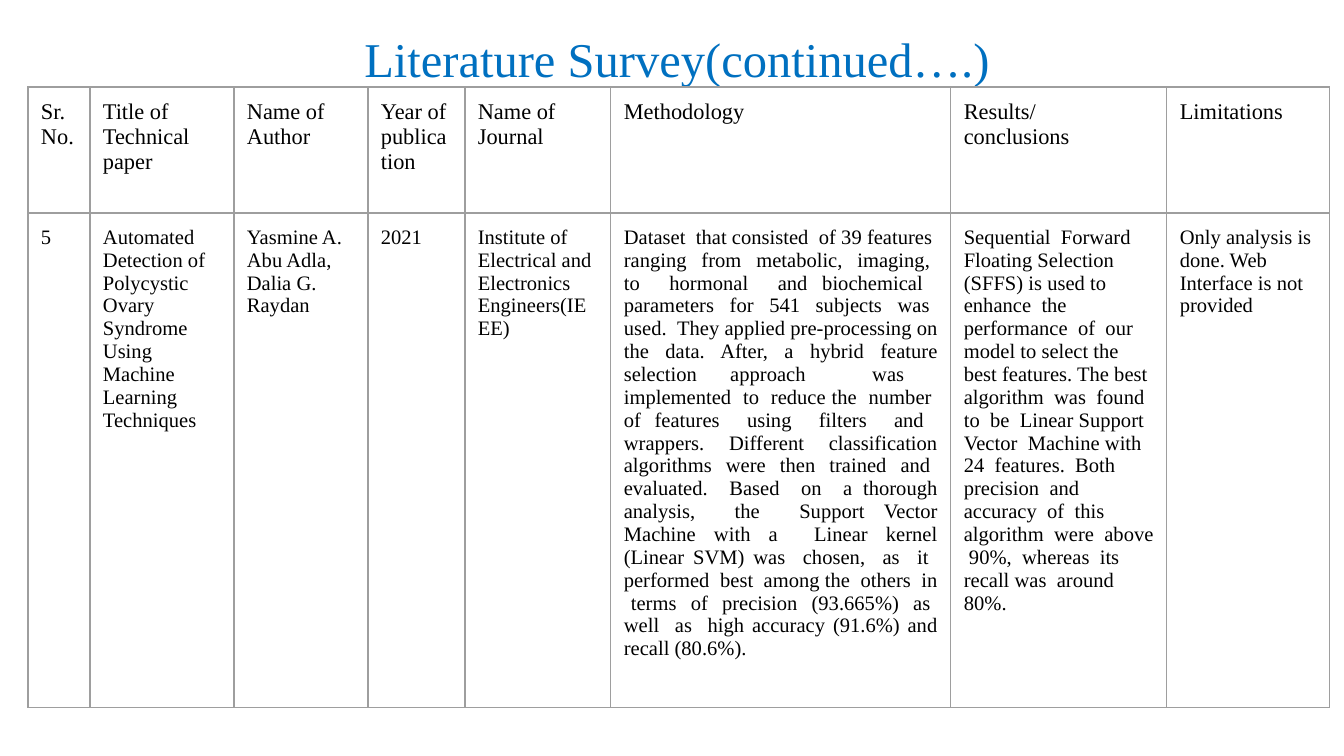
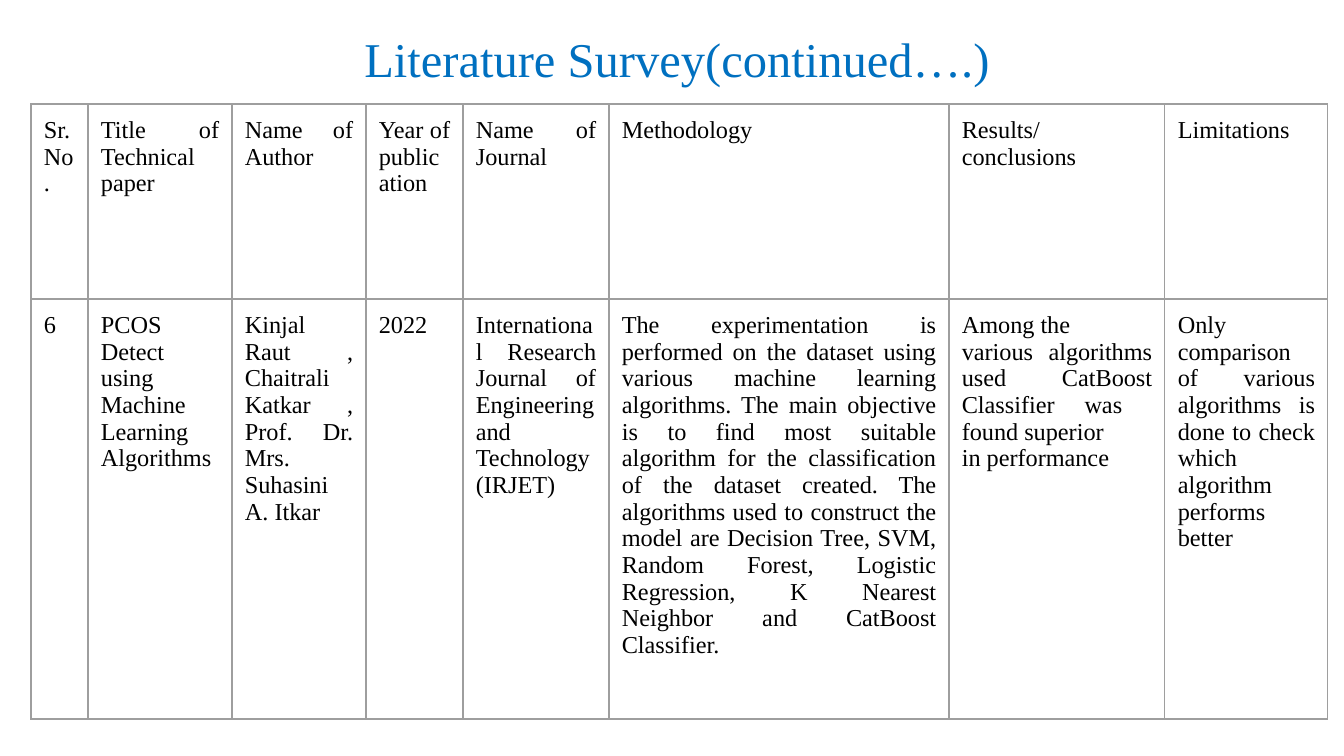
import pptx
import pptx.util
import pptx.dml.color
import pptx.enum.text
import pptx.oxml
import pptx.oxml.ns

ALIGN = pptx.enum.text.PP_ALIGN

# Content
TITLE = "Literature Survey(continued….)"
HEADS = [
    "Sr.\nNo.", "Title of Technical paper", "Name of Author",
    "Year of publication", "Name of Journal", "Methodology",
    "Results/\nconclusions", "Limitations",
]
PAPERS = [
    {
        "left": 28, "top": 87, "first": 62, "rows": (126, 461),
        "sizes": (12, 11), "align": ALIGN.LEFT,
        "cells": [
            "5",
            "Automated Detection of Polycystic Ovary Syndrome Using Machine "
            "Learning Techniques",
            "Yasmine A. Abu Adla, Dalia G. Raydan",
            "2021",
            "Institute of Electrical and Electronics Engineers(IEEE)",
            "Dataset  that consisted  of 39 features  ranging  from  "
            "metabolic,  imaging,  to  hormonal  and biochemical  parameters  "
            "for  541  subjects  was  used.  They applied pre-processing on "
            "the data. After, a hybrid feature selection approach  was  "
            "implemented  to  reduce the  number  of features  using  filters  "
            "and  wrappers.  Different  classification algorithms  were  then  "
            "trained  and  evaluated.  Based  on  a thorough analysis,  the  "
            "Support Vector Machine with a  Linear kernel (Linear SVM) was  "
            "chosen,  as  it  performed  best  among the  others  in  terms  "
            "of  precision  (93.665%)  as  well  as  high accuracy (91.6%) "
            "and recall (80.6%).",
            "Sequential  Forward Floating Selection (SFFS) is used to  "
            "enhance  the performance  of  our  model to select the best "
            "features. The best algorithm  was  found to  be  Linear Support  "
            "Vector  Machine with  24  features.  Both  precision  and  "
            "accuracy  of  this algorithm  were  above  90%,  whereas  its  "
            "recall was  around 80%.",
            "Only analysis is done. Web Interface is not provided",
        ],
    },
    {
        "left": 31, "top": 104, "first": 57, "rows": (195, 420),
        "sizes": (13, 13), "align": ALIGN.JUSTIFY,
        "cells": [
            "6",
            "PCOS Detect using Machine Learning Algorithms",
            "Kinjal Raut , Chaitrali Katkar , Prof. Dr. Mrs. Suhasini "
            "A. Itkar",
            "2022",
            "International Research Journal of Engineering and Technology "
            "(IRJET)",
            "The experimentation is performed on the dataset using various "
            "machine learning algorithms. The main objective is to find most "
            "suitable algorithm for the classification of the dataset "
            "created. The algorithms used to construct the model are Decision "
            "Tree, SVM, Random Forest, Logistic Regression, K Nearest "
            "Neighbor and CatBoost Classifier.",
            "Among the\nvarious algorithms used CatBoost Classifier was  "
            "found superior\nin performance",
            "Only comparison of various algorithms is done to check which "
            "algorithm performs better",
        ],
    },
]

# Layout, in px
WIDE, HIGH = 1344, 756
TITLE_BOX = (51, 11, 1253, 62)
TITLE_DROP = 18
COLS = [144, 134, 97, 146, 340, 216, 163]
PAD = 13
METHOD = 5


class Theme:
    font = "Times New Roman"
    title = "0070C0"
    ink = "000000"
    rule = "9E9E9E"
    head = 26
    line = 0.75


def px(num):
    return pptx.util.Emu(round(num * 914400 / 134.4))


def write(frame, text, size, color=Theme.ink, align=ALIGN.LEFT):
    """Fill a text frame, one paragraph for each line of text."""
    frame.word_wrap = True
    for at, line in enumerate(text.split("\n")):
        para = frame.paragraphs[0] if at == 0 else frame.add_paragraph()
        para.alignment = align
        run = para.add_run()
        run.text = line
        font = run.font
        font.name, font.size, font.bold = Theme.font, pptx.util.Pt(size), False
        font.color.rgb = pptx.dml.color.RGBColor.from_string(color)


def inset(part, top=PAD):
    part.margin_left = part.margin_right = part.margin_bottom = px(PAD)
    part.margin_top = px(top)


def border(cell):
    """Draw the four sides; lines must precede the fill in the cell."""
    props = cell._tc.get_or_add_tcPr()
    space = pptx.oxml.ns.nsdecls("a")
    width = pptx.util.Pt(Theme.line)
    for at, side in enumerate(("lnL", "lnR", "lnT", "lnB")):
        props.insert(at, pptx.oxml.parse_xml(
            f'<a:{side} {space} w="{width}"><a:solidFill>'
            f'<a:srgbClr val="{Theme.rule}"/></a:solidFill></a:{side}>'))


def add_title(slide):
    frame = slide.shapes.add_textbox(*map(px, TITLE_BOX)).text_frame
    inset(frame, TITLE_DROP)
    write(frame, TITLE, Theme.head, Theme.title, ALIGN.CENTER)


def add_grid(slide, paper):
    cols = [paper["first"], *COLS]
    rows = paper["rows"]
    table = slide.shapes.add_table(
        len(rows), len(cols), px(paper["left"]), px(paper["top"]),
        px(sum(cols)), px(sum(rows))).table
    table.first_row = table.horz_banding = False
    for col, width in zip(table.columns, cols):
        col.width = px(width)
    for row, height in zip(table.rows, rows):
        row.height = px(height)
    for y, texts in enumerate((HEADS, paper["cells"])):
        for x, text in enumerate(texts):
            cell = table.cell(y, x)
            inset(cell)
            cell.fill.background()
            border(cell)
            body = y == 1 and x == METHOD
            write(cell.text_frame, text, paper["sizes"][y],
                  align=ALIGN.JUSTIFY if body else paper["align"])


def main():
    deck = pptx.Presentation()
    deck.slide_width, deck.slide_height = px(WIDE), px(HIGH)
    for paper in PAPERS:
        slide = deck.slides.add_slide(deck.slide_layouts[6])
        add_title(slide)
        add_grid(slide, paper)
    deck.save("out.pptx")


if __name__ == "__main__":
    main()
